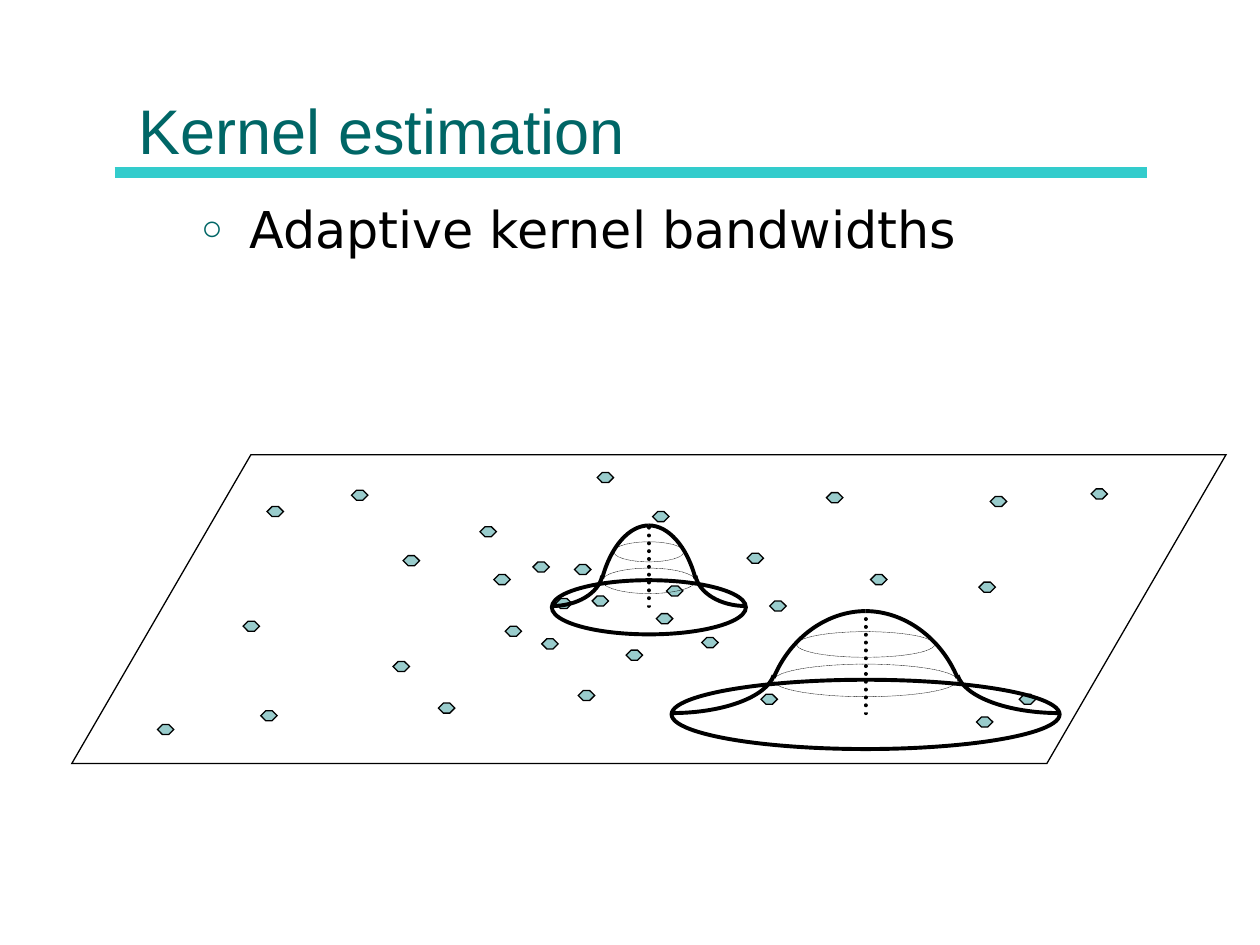
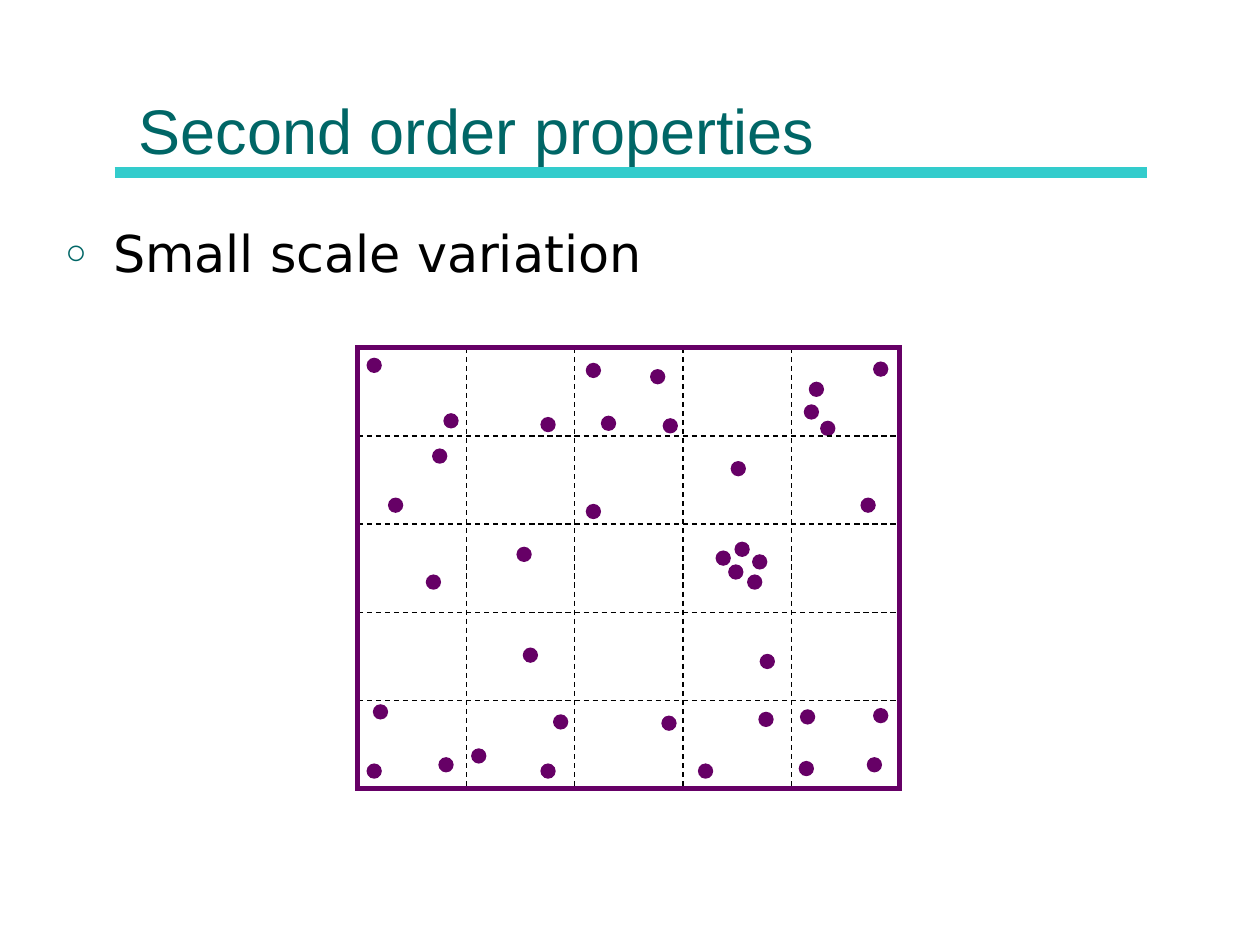
from pptx import Presentation
from pptx import util as u
from pptx.dml.color import RGBColor
from pptx.enum import dml, shapes, text
from pptx.oxml import parse_xml
from pptx.oxml.ns import nsdecls, qn

KERNEL_SLIDE = {
    "title": "Kernel estimation",
    "point": "Adaptive kernel bandwidths",
    "point_box": (1.5, 1.52, 8, 4.5),
}
SCALE_SLIDE = {
    "title": "Second order properties",
    "point": "Small scale variation",
    "point_box": (0.42, 1.71, 9.13, 4.5),
}
TITLE_BOX = (1, 0.12, 8, 1.25)
TITLE_RULE = (0.91, 1.37, 9.1, 1.37)

STUDY_PLANE = (0.57, 3.61, 9.16, 2.45)
EVENT_SIZE = (0.13, 0.08)
EVENTS = [
    (4.41, 4.75), (6.04, 5.51), (4.97, 5.16), (3.81, 4.18), (6.91, 4.56),
    (1.93, 4.93), (3.12, 5.25), (4.56, 4.48), (6.56, 3.91), (2.79, 3.89),
    (7.86, 3.94), (8.66, 3.88), (7.77, 4.62), (6.11, 4.77), (4.01, 4.97),
    (2.07, 5.64), (1.25, 5.75), (7.75, 5.69), (5.93, 4.39), (4.74, 3.75),
    (4.7, 4.73), (5.57, 5.06), (3.48, 5.58), (4.59, 5.48), (5.21, 4.87),
    (8.09, 5.51), (3.2, 4.41), (5.29, 4.65), (4.23, 4.46), (3.92, 4.56),
    (2.12, 4.02), (4.3, 5.07), (5.18, 4.06),
]
KERNELS = [
    {"centre": 5.15, "top": 4.17, "rim": 4.81, "reach": 0.77, "depth": 0.43,
     "shoulder": 0.37, "shoulder_y": 4.59, "foot": (0.06, 0.03)},
    {"centre": 6.87, "top": 4.85, "rim": 5.66, "reach": 1.54, "depth": 0.55,
     "shoulder": 0.73, "shoulder_y": 5.38, "foot": (0.12, 0.04)},
]

REGION = (2.84, 2.76, 4.3, 3.5)
REGION_CELLS = 5
POINT_SIZE = (0.1, 0.1)
POINTS = [
    (5.98, 4.41), (4.3, 3.32), (3.53, 3.29), (6.94, 2.88), (5.94, 4.57),
    (5.27, 3.33), (3.44, 3.57), (5.69, 4.38), (4.66, 4.01), (4.11, 4.35),
    (2.92, 2.85), (3.39, 4.57), (5.84, 4.31), (5.17, 2.94), (4.66, 2.89),
    (3.09, 3.96), (4.78, 3.31), (6.39, 3.22), (6.43, 3.04), (5.79, 4.49),
    (4.16, 5.15), (5.81, 3.67), (6.84, 3.96), (6.52, 3.35), (3.75, 5.95),
    (2.97, 5.6), (3.49, 6.02), (4.3, 6.07), (2.92, 6.07), (6.03, 5.66),
    (6.94, 5.63), (5.55, 6.07), (6.36, 5.64), (6.04, 5.2), (6.35, 6.05),
    (6.89, 6.02), (4.4, 5.68), (5.26, 5.69),
]

SOLID, DOTS, DASHES = (dml.MSO_LINE.SOLID, dml.MSO_LINE.ROUND_DOT,
                       dml.MSO_LINE.DASH)
THEME = {
    "title": {"name": "Arial", "size": u.Pt(36), "color": "006666"},
    "point": {"name": "DejaVu Sans", "size": u.Pt(29), "color": "000000"},
    "bullet": {"name": "Arial", "color": "006666"},
    "event": "99CCCC",
    "dot": "660066",
    "title_rule": ("33CCCC", 6, SOLID),
    "outline": ("000000", 0.75, SOLID),
    "kernel": ("000000", 2.25, SOLID),
    "axis": ("000000", 2.25, DOTS),
    "ring": ("000000", 0.25, DOTS),
    "foot": ("FFFFFF", 0.75, SOLID),
    "grid": ("000000", 0.75, DASHES),
    "dot_edge": ("660066", 1.5, SOLID),
    "region": ("660066", 3, SOLID),
}
INSETS = {"margin_left": u.Inches(0.1), "margin_right": u.Inches(0.1),
          "margin_top": u.Inches(0.05), "margin_bottom": u.Inches(0.04),
          "word_wrap": True, "auto_size": text.MSO_AUTO_SIZE.NONE}
TITLE_FRAME = {**INSETS, "vertical_anchor": text.MSO_ANCHOR.BOTTOM}
POINT_FRAME = {**INSETS, "vertical_anchor": text.MSO_ANCHOR.TOP}


def inches(values):
    return [u.Inches(value) for value in values]


def apply(target, values):
    for name, value in values.items():
        setattr(target, name, value)


def add_part(parent, tag, **values):
    part = parent.makeelement(qn(tag), values)
    parent.append(part)
    return part


def write(frame, words, style, frame_format):
    apply(frame, frame_format)
    paragraph = frame.paragraphs[0]
    paragraph.alignment = text.PP_ALIGN.LEFT
    run = paragraph.add_run()
    run.text = words
    apply(run.font, {"name": style["name"], "size": style["size"]})
    run.font.color.rgb = RGBColor.from_string(style["color"])
    return paragraph


def stroke(line, style):
    color, width, dash = style
    line.color.rgb = RGBColor.from_string(color)
    apply(line, {"width": u.Pt(width), "dash_style": dash})


def finish(shape, style, fill=None):
    shape.shadow.inherit = False
    if fill:
        shape.fill.solid()
        shape.fill.fore_color.rgb = RGBColor.from_string(fill)
    else:
        shape.fill.background()
    stroke(shape.line, style)
    add_part(shape._element.spPr.find(qn("a:ln")), "a:miter", lim="800000")


def draw(slide, kind, box, style, fill=None, adjust=None):
    shape = slide.shapes.add_shape(kind, *inches(box))
    if adjust is not None:
        shape.adjustments[0] = adjust
    finish(shape, style, fill)


def draw_line(slide, ends, style):
    line = slide.shapes.add_connector(shapes.MSO_CONNECTOR.STRAIGHT,
                                      *inches(ends))
    line._element.spPr.append(parse_xml(f"<a:effectLst {nsdecls('a')}/>"))
    stroke(line.line, style)
    if style[2] == DOTS:
        line._element.spPr.find(qn("a:ln")).set("cap", "rnd")


def draw_curve(slide, controls, corner, style):
    places = [tuple(inches(place)) for place in (*controls, corner)]
    start, end, corner = places[0], places[3], places[4]
    builder = slide.shapes.build_freeform(*start)
    builder.add_line_segments([end, corner], close=True)
    shape = builder.convert_to_shape()
    finish(shape, style)
    outline = shape._element.spPr.find(".//" + qn("a:pathLst"))
    size = dict(outline[0].attrib)
    outline.remove(outline[0])

    def add_places(parent, tag, stops):
        step = add_part(parent, tag)
        for x, y in stops:
            add_part(step, "a:pt", x=str(x - shape.left), y=str(y - shape.top))

    for extra in ({"fill": "none"}, {"stroke": "0"}):
        track = add_part(outline, "a:path", **size, **extra)
        add_places(track, "a:moveTo", [start])
        add_places(track, "a:cubicBezTo", places[1:4])
        if "stroke" in extra:
            add_places(track, "a:lnTo", [corner])
            add_part(track, "a:close")


def add_bullet(paragraph):
    properties = paragraph._p.get_or_add_pPr()
    indent = u.Inches(0.38)
    for name, value in {"marL": indent, "indent": -indent}.items():
        properties.set(name, str(int(value)))
    color = add_part(properties, "a:buClr")
    add_part(color, "a:srgbClr", val=THEME["bullet"]["color"])
    add_part(properties, "a:buSzPct", val="70000")
    add_part(properties, "a:buFont", typeface=THEME["bullet"]["name"])
    add_part(properties, "a:buChar", char="○")


def start_slide(deck, content):
    slide = deck.slides.add_slide(deck.slide_layouts[5])
    draw_line(slide, TITLE_RULE, THEME["title_rule"])
    title = slide.shapes.title
    apply(title, dict(zip(("left", "top", "width", "height"), inches(TITLE_BOX))))
    write(title.text_frame, content["title"], THEME["title"], TITLE_FRAME)
    point = slide.shapes.add_textbox(*inches(content["point_box"]))
    add_bullet(write(point.text_frame, content["point"], THEME["point"],
                     POINT_FRAME))
    return slide


def draw_ring(slide, centre, middle, width, depth, style):
    draw(slide, shapes.MSO_SHAPE.OVAL,
         (centre - width / 2, middle - depth / 2, width, depth), style)


def draw_kernel(slide, centre, top, rim, reach, depth, shoulder, shoulder_y, foot):
    draw_line(slide, (centre, rim, centre, top + 0.01), THEME["axis"])
    draw(slide, shapes.MSO_SHAPE.OCTAGON, (centre - foot[0] / 2, rim - 0.01, *foot),
         THEME["foot"], adjust=0.36)
    draw_ring(slide, centre, rim + 0.01, 2 * reach, depth, THEME["kernel"])
    fall = shoulder_y - top
    brim, brim_y = reach - shoulder, shoulder_y - 0.02
    dome = [(0, top), (0.42 * shoulder, top),
            (0.82 * shoulder, top + 0.4 * fall), (shoulder, shoulder_y)]
    skirt = [(reach, rim), (reach - 0.5 * brim, rim),
             (reach - 0.93 * brim, rim - 0.42 * (rim - brim_y)),
             (shoulder, brim_y)]
    corners = (0, top + 1.69 * fall), (reach, brim_y - 0.03)
    for side in (1, -1):
        for curve, corner in zip((dome, skirt), corners):
            *controls, corner = [(centre + side * x, y) for x, y in (*curve, corner)]
            draw_curve(slide, controls, corner, THEME["kernel"])
    draw_ring(slide, centre, shoulder_y + 0.02, 2 * shoulder, 0.47 * depth,
              THEME["ring"])
    draw_ring(slide, centre, top + fall / 2, 1.5 * shoulder, 0.37 * depth,
              THEME["ring"])


def build_kernel_slide(deck):
    slide = start_slide(deck, KERNEL_SLIDE)
    draw(slide, shapes.MSO_SHAPE.PARALLELOGRAM, STUDY_PLANE, THEME["outline"],
         adjust=0.58)
    for event in EVENTS:
        draw(slide, shapes.MSO_SHAPE.OCTAGON, (*event, *EVENT_SIZE),
             THEME["outline"], THEME["event"], adjust=0.5)
    for kernel in KERNELS:
        draw_kernel(slide, **kernel)


def build_scale_slide(deck):
    slide = start_slide(deck, SCALE_SLIDE)
    for point in POINTS:
        draw(slide, shapes.MSO_SHAPE.OVAL, (*point, *POINT_SIZE),
             THEME["dot_edge"], THEME["dot"])
    left, top, width, height = REGION
    for cell in range(1, REGION_CELLS):
        x = left + width * cell / REGION_CELLS
        y = top + height * cell / REGION_CELLS
        draw_line(slide, (x, top, x, top + height), THEME["grid"])
        draw_line(slide, (left, y, left + width, y), THEME["grid"])
    draw(slide, shapes.MSO_SHAPE.RECTANGLE, REGION, THEME["region"])


def main():
    deck = Presentation()
    apply(deck, {"slide_width": u.Inches(10), "slide_height": u.Inches(7.5)})
    build_kernel_slide(deck)
    build_scale_slide(deck)
    deck.save("out.pptx")


if __name__ == "__main__":
    main()
